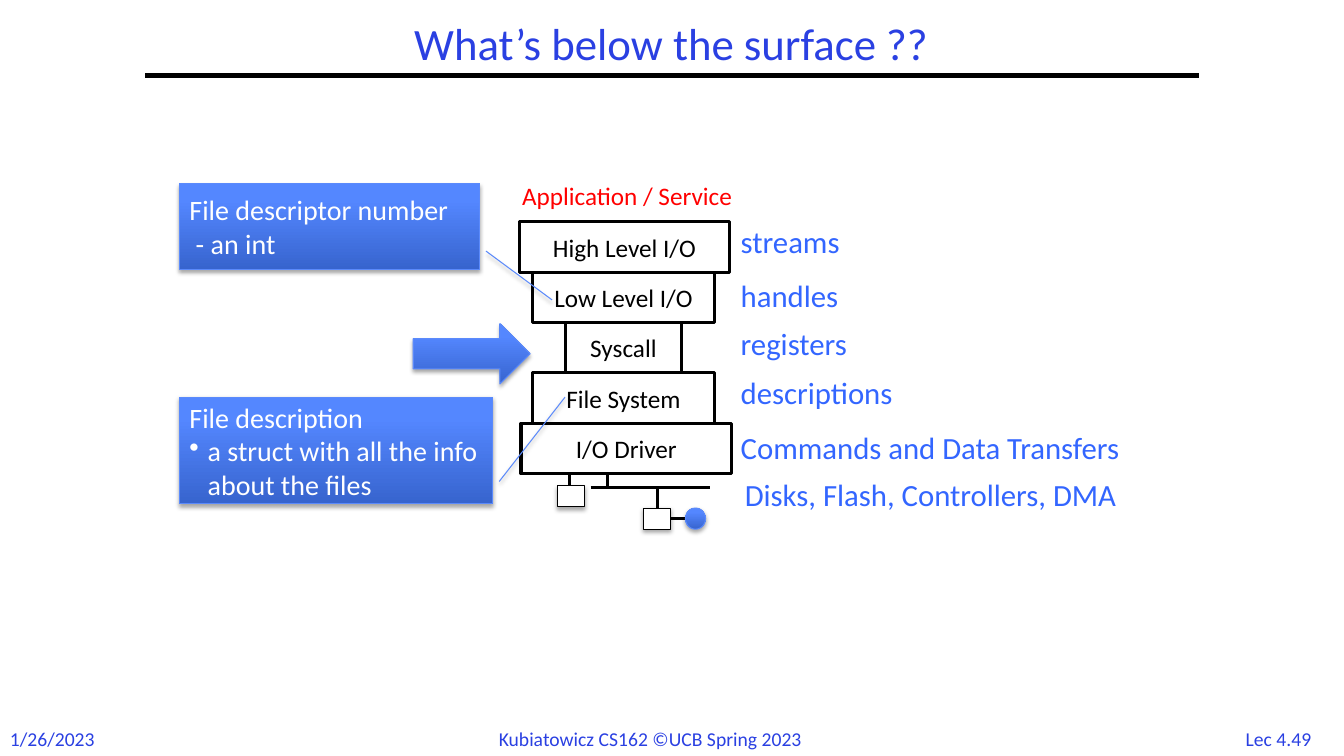
from lxml import etree
from pptx import Presentation
from pptx.dml.color import RGBColor
from pptx.enum.shapes import MSO_CONNECTOR, MSO_SHAPE
from pptx.enum.text import MSO_ANCHOR, MSO_AUTO_SIZE, PP_ALIGN
from pptx.oxml.ns import qn
from pptx.util import Pt

STRAIGHT = MSO_CONNECTOR.STRAIGHT
RECTANGLE, OVAL = MSO_SHAPE.RECTANGLE, MSO_SHAPE.OVAL
ARROW, CALLOUT = MSO_SHAPE.RIGHT_ARROW, MSO_SHAPE.LINE_CALLOUT_1
MIDDLE = MSO_ANCHOR.MIDDLE
LEFT, CENTER = PP_ALIGN.LEFT, PP_ALIGN.CENTER
NO_FIT = MSO_AUTO_SIZE.NONE

BLACK, WHITE, RED = "000000", "FFFFFF", "FF0000"
HEADING_BLUE, LABEL_BLUE, EDGE_BLUE = "2A40E2", "3366FF", "5B8AFB"
GRADIENT = [(0, "3764CE"), (0.8, "5487FF")]


def colour(code):
    """Turn a hex string into a colour."""
    return RGBColor.from_string(code)


class Painter:
    """Holds the style and the current page."""

    font_name = "Calibri"

    def __init__(self, page):
        """Start painting on a page."""
        self.page = page

    def set_text(self, frame, lines, size, code, align=LEFT):
        """Fill a text frame; lines starting with a bullet become list items."""
        frame.word_wrap = True
        frame.auto_size = NO_FIT
        for index, line in enumerate(lines):
            para = frame.paragraphs[0] if index == 0 else frame.add_paragraph()
            if line.startswith("•"):
                properties = para._p.get_or_add_pPr()
                properties.set("marL", str(Pt(13)))
                properties.set("indent", str(-Pt(13)))
                etree.SubElement(properties, qn("a:buChar"), char="•")
            para.add_run().text = line.removeprefix("•")
            para.alignment = align
            para.font.name = self.font_name
            para.font.size = Pt(size)
            para.font.color.rgb = colour(code)

    def title(self, text, left, top, width, height):
        """Move and fill the title placeholder."""
        box = self.page.shapes.title
        box.left, box.top = Pt(left), Pt(top)
        box.width, box.height = Pt(width), Pt(height)
        self.set_text(box.text_frame, [text], 32, HEADING_BLUE, CENTER)
        box.text_frame.vertical_anchor = MIDDLE
        box.text_frame.paragraphs[0].line_spacing = 0.9

    def label(self, text, left, top, width, height, size, code, align=LEFT):
        """Add a text box."""
        box = self.page.shapes.add_textbox(Pt(left), Pt(top), Pt(width), Pt(height))
        self.set_text(box.text_frame, [text], size, code, align)

    def line(self, start_x, start_y, end_x, end_y, weight=2):
        """Add a plain black line."""
        line = self.page.shapes.add_connector(
            STRAIGHT, Pt(start_x), Pt(start_y), Pt(end_x), Pt(end_y))
        line.line.color.rgb = colour(BLACK)
        line.line.width = Pt(weight)
        etree.SubElement(line._element.spPr, qn("a:effectLst"))

    def shape(self, kind, left, top, width, height, edge=BLACK, weight=0.75):
        """Add a white shape without shadow."""
        shape = self.page.shapes.add_shape(kind, Pt(left), Pt(top), Pt(width), Pt(height))
        shape.shadow.inherit = False
        shape.fill.solid()
        shape.fill.fore_color.rgb = colour(WHITE)
        shape.line.color.rgb = colour(edge)
        shape.line.width = Pt(weight)
        shape.text_frame.vertical_anchor = MIDDLE
        return shape

    def raised(self, *place, edge=BLACK):
        """Add a white shape with a soft shadow below it."""
        shape = self.shape(*place, edge=edge)
        effects = shape._element.spPr.find(qn("a:effectLst"))
        shadow = etree.SubElement(
            effects, qn("a:outerShdw"), blurRad=str(Pt(3.1)), dist=str(Pt(1.8)),
            dir="5400000", rotWithShape="0")
        tint = etree.SubElement(shadow, qn("a:srgbClr"), val=BLACK)
        etree.SubElement(tint, qn("a:alpha"), val="35000")
        return shape

    def glossy(self, *place):
        """Add a raised shape with the blue gradient."""
        shape = self.raised(*place, edge=EDGE_BLUE)
        shape.fill.gradient()
        shape.fill.gradient_angle = 90
        for stop, (position, code) in zip(shape.fill.gradient_stops, GRADIENT):
            stop.position = position
            stop.color.rgb = colour(code)
        return shape

    def layer(self, text, left, top, width, height):
        """Add one box of the stack."""
        box = self.shape(RECTANGLE, left, top, width, height, weight=2.25)
        self.set_text(box.text_frame, [text], 18, BLACK, CENTER)

    def callout(self, lines, left, top, width, height, pointer):
        """Add a blue callout with a pointer line."""
        box = self.glossy(CALLOUT, left, top, width, height)
        for index, value in enumerate(pointer):
            box.adjustments[index] = value
        self.set_text(box.text_frame, lines, 20, WHITE)


def main():
    """Build the deck."""
    deck = Presentation()
    deck.slide_width, deck.slide_height = Pt(960), Pt(540)
    painter = Painter(deck.slides.add_slide(deck.slide_layouts[5]))

    footers = [("1/26/2023", 0, 77, LEFT),
               ("Kubiatowicz CS162 ©UCB Spring 2023", 349.2, 261.4, LEFT),
               ("Lec 4.49", 878.4, 69.8, CENTER)]
    for text, left, width, align in footers:
        painter.label(text, left, 515.5, width, 24, 14, HEADING_BLUE, align)
    painter.line(103.7, 54, 856.1, 54, 3)
    painter.title("What’s below the surface ??", 103.7, 12.2, 751.7, 41.8)

    wires = [(421.9, 348.5, 506.9, 348.5), (434.2, 334.8, 434.2, 348.5),
             (469.4, 348.5, 469.4, 362.9), (478.8, 370.1, 489.6, 370.1),
             (406.8, 333.4, 406.8, 347)]
    for wire in wires:
        painter.line(*wire)
    for left, top in [(459.4, 362.9), (398.2, 347)]:
        painter.raised(RECTANGLE, left, top, 19.4, 15.1)
    painter.glossy(OVAL, 489.6, 362.9, 14.4, 15.1)

    layers = [("High Level I/O", 370.8, 150.5, "streams", 155.5),
              ("Low Level I/O", 380.2, 130.3, "handles", 194.4),
              ("Syscall", 403.9, 82.8, "registers", 228.2),
              ("File System", 380.2, 130.3, "descriptions", 263.5),
              ("I/O Driver", 372.2, 150.5, "Commands and Data Transfers", 302.4)]
    for index, (name, left, width, label, label_top) in enumerate(layers):
        painter.layer(name, left, 158.4 + 36 * index, width, 36)
        painter.label(label, 522, label_top, 324, 33.8, 22, LABEL_BLUE)
    painter.label("Disks, Flash, Controllers, DMA", 524.9, 336.2, 317.5, 33.8, 22, LABEL_BLUE)
    painter.label("Application / Service", 365.8, 125.3, 179.3, 28.8, 18, RED)

    painter.glossy(ARROW, 295.2, 231.1, 83.5, 43.2)
    painter.callout(["File descriptor number", " - an int"],
                    128.2, 131, 214.6, 61.2, [0.79, 1.02, 1.36, 1.24])
    painter.callout(["File description", "•a struct with all the info about the files"],
                    128.2, 283.7, 223.9, 76.3, [0.79, 1.02, 0, 1.23])
    deck.save("out.pptx")


if __name__ == "__main__":
    main()
